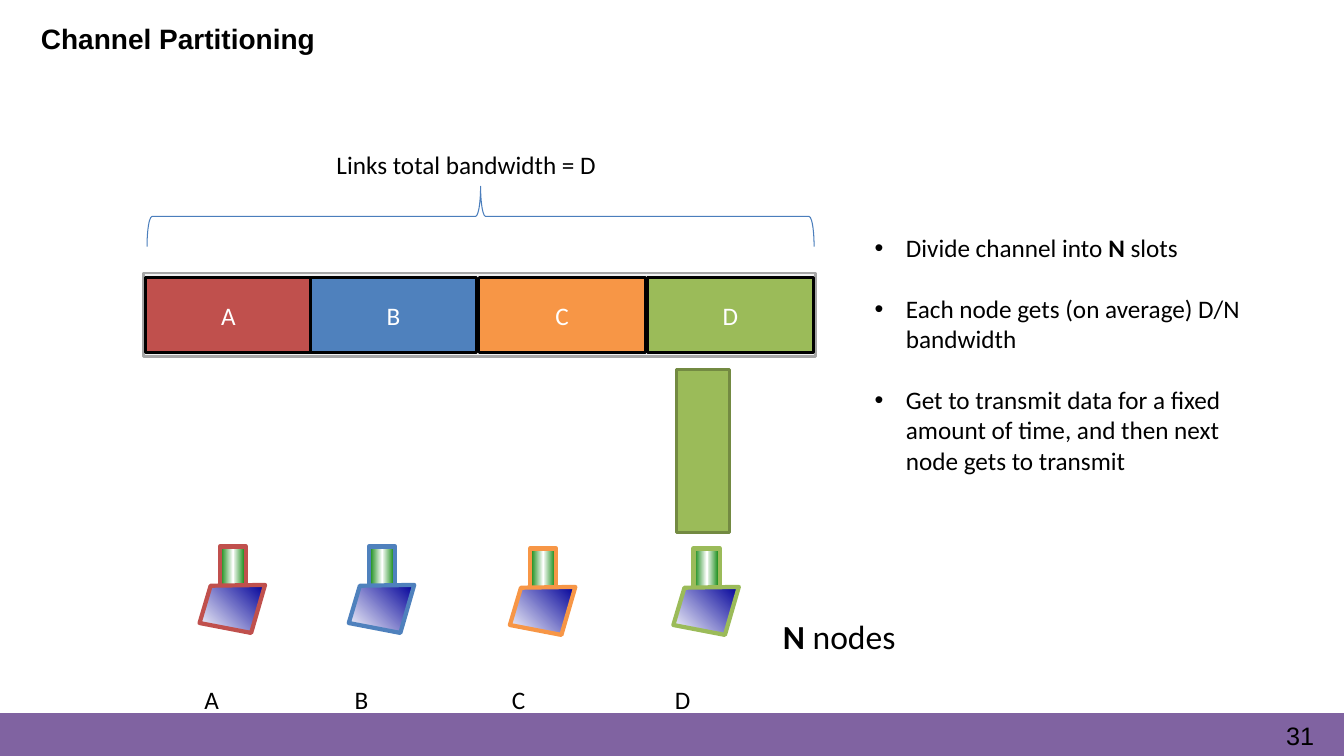
from lxml.etree import SubElement
from pptx import Presentation
from pptx.dml.color import RGBColor
from pptx.enum.shapes import MSO_SHAPE
from pptx.enum.text import MSO_ANCHOR, MSO_AUTO_SIZE, PP_ALIGN
from pptx.oxml.ns import qn
from pptx.util import Cm, Pt

COLORS = {
    "black": "000000", "white": "FFFFFF", "purple": "8063A1",
    "track": "F2F2F2", "track_edge": "A6A6A6", "brace": "4B7EBC",
    "red": "C0504D", "blue": "4F81BD", "orange": "F79646",
    "green": "9BBB59", "green_edge": "738A42",
    "stem": "008000", "screen": "000099",
}

# Name, colour, slot left, stem left, stem top, label left (cm)
NODES = [
    ("A", "red", 3.66, 5.54, 13.77, 4.9),
    ("B", "blue", 7.82, 9.3, 13.77, 8.69),
    ("C", "orange", 12.07, 13.36, 13.82, 12.65),
    ("D", "green", 16.31, 17.48, 13.82, 16.76),
]
# Screen corners measured from the top left of the stem (cm)
SCREEN_CORNERS = [(1.14, 0.97), (-0.23, 0.99), (-0.51, 1.93), (0.79, 2.18)]

BULLETS = [
    [("Divide channel into ", False), ("N", True), (" slots", False)],
    [("Each node gets (on average) D/N bandwidth", False)],
    [("Get to transmit data for a fixed amount of time, "
      "and then next node gets to transmit", False)],
]


def rgb(name):
    return RGBColor.from_string(COLORS[name])


def place(shape, left, top, width, height):
    bounds = {"left": left, "top": top, "width": width, "height": height}
    for name, value in bounds.items():
        setattr(shape, name, Cm(value))


def style_shape(shape, fill, line, weight):
    shape.shadow.inherit = False
    if fill:
        shape.fill.solid()
        shape.fill.fore_color.rgb = rgb(fill)
    else:
        shape.fill.background()
    shape.line.color.rgb = rgb(line)
    shape.line.width = Pt(weight)


def add_preset(shapes, kind, bounds, fill, line, weight):
    shape = shapes.add_shape(kind, *map(Cm, bounds))
    style_shape(shape, fill, line, weight)
    return shape


def set_gradient(shape, stops, angle):
    shape.fill.gradient()
    shape.fill.gradient_angle = angle
    stop_list = shape.fill._xPr.find(qn("a:gradFill")).find(qn("a:gsLst"))
    stop_list.clear()
    for percent, color in stops:
        stop = SubElement(stop_list, qn("a:gs"), pos=str(percent * 1000))
        SubElement(stop, qn("a:srgbClr"), val=COLORS[color])


def write_spans(para, spans, size=18, font="Calibri", color="black"):
    for text, bold in spans:
        span = para.add_run()
        span.text = text
        formats = {"name": font, "size": Pt(size), "bold": bold}
        for name, value in formats.items():
            setattr(span.font, name, value)
        span.font.color.rgb = rgb(color)


def set_frame(frame, margins=(0.25, 0.13, 0.25, 0.13), anchor=MSO_ANCHOR.TOP):
    left, top, right, bottom = map(Cm, margins)
    formats = {
        "margin_left": left, "margin_top": top,
        "margin_right": right, "margin_bottom": bottom,
        "word_wrap": True, "auto_size": MSO_AUTO_SIZE.NONE,
        "vertical_anchor": anchor,
    }
    for name, value in formats.items():
        setattr(frame, name, value)


def add_label(page, bounds, spans, margins=(0.25, 0.13, 0.25, 0.13), **look):
    box = page.shapes.add_textbox(*map(Cm, bounds))
    set_frame(box.text_frame, margins)
    write_spans(box.text_frame.paragraphs[0], spans, **look)


def add_title(page, text):
    title = page.shapes.title
    place(title, 0.43, 0.28, 15.62, 1.12)
    set_frame(title.text_frame, (0.6, 0.25, 0, 0))
    para = title.text_frame.paragraphs[0]
    para.alignment = PP_ALIGN.LEFT
    write_spans(para, [(text, True)], size=20, font="Arial")


def add_bullets(page):
    body = page.placeholders[1]
    place(body, 21.79, 5.72, 10.59, 6.4)
    frame = body.text_frame
    set_frame(frame)
    for index, spans in enumerate(BULLETS):
        para = frame.add_paragraph() if index else frame.paragraphs[0]
        properties = para._p.get_or_add_pPr()
        properties.set("marL", str(Cm(0.79)))
        properties.set("indent", str(Cm(-0.79)))
        SubElement(properties, qn("a:buFont"), typeface="Arial")
        SubElement(properties, qn("a:buChar"), char="•")
        para.space_before = Pt(22 if index else 0)
        write_spans(para, spans)


def add_slot(page, name, color, left):
    slot = add_preset(page.shapes, MSO_SHAPE.RECTANGLE,
                      (left, 6.99, 4.19, 1.9), color, "black", 2)
    set_frame(slot.text_frame, anchor=MSO_ANCHOR.MIDDLE)
    para = slot.text_frame.paragraphs[0]
    para.alignment = PP_ALIGN.CENTER
    write_spans(para, [(name, False)], color="white")


def add_node(page, color, left, top):
    group = page.shapes.add_group_shape()
    stem = add_preset(group.shapes, MSO_SHAPE.RECTANGLE,
                      (left, top, 0.66, 1.04), None, color, 3)
    set_gradient(stem, [(0, "stem"), (50, "white"), (100, "stem")], 0)
    corners = [(Cm(left + x), Cm(top + y)) for x, y in SCREEN_CORNERS]
    builder = group.shapes.build_freeform(*corners[0])
    builder.add_line_segments(corners[1:], close=True)
    screen = builder.convert_to_shape()
    style_shape(screen, None, color, 3)
    set_gradient(screen, [(0, "screen"), (100, "white")], 225)


def main():
    deck = Presentation()
    deck.slide_width, deck.slide_height = Cm(33.87), Cm(19.05)
    page = deck.slides.add_slide(deck.slide_layouts[1])

    # Footer band, title and page number
    add_preset(page.shapes, MSO_SHAPE.RECTANGLE,
               (0, 17.98, 33.87, 1.07), "purple", "purple", 1)
    add_title(page, "Channel Partitioning")
    add_label(page, (31.95, 18.16, 1.8, 0.79), [("31", False)],
              (0.46, 0, 0, 0), font="Arial")

    # Channel with its slots, and the nodes below
    add_preset(page.shapes, MSO_SHAPE.RECTANGLE,
               (3.61, 6.88, 16.94, 2.11), "track", "track_edge", 2)
    for name, color, slot_left, stem_left, stem_top, label_left in NODES:
        add_slot(page, name, color, slot_left)
        add_node(page, color, stem_left, stem_top)
        add_label(page, (label_left, 17.12, 1, 1.02), [(name, False)])
    add_label(page, (19.48, 15.39, 3.94, 1.27),
              [("N", True), (" nodes", False)], size=24)

    # Total bandwidth brace
    brace = add_preset(page.shapes, MSO_SHAPE.LEFT_BRACE,
                       (11.35, -2.95, 1.52, 16.81), None, "brace", 0.75)
    brace.rotation = 90
    add_label(page, (8.23, 3.63, 7.7, 1.02),
              [("Links total bandwidth = D", False)])

    # Explanation and the transmission of node D
    add_bullets(page)
    add_preset(page.shapes, MSO_SHAPE.RECTANGLE,
               (17.04, 9.32, 1.35, 4.11), "green", "green_edge", 2)
    deck.save("out.pptx")


if __name__ == "__main__":
    main()
